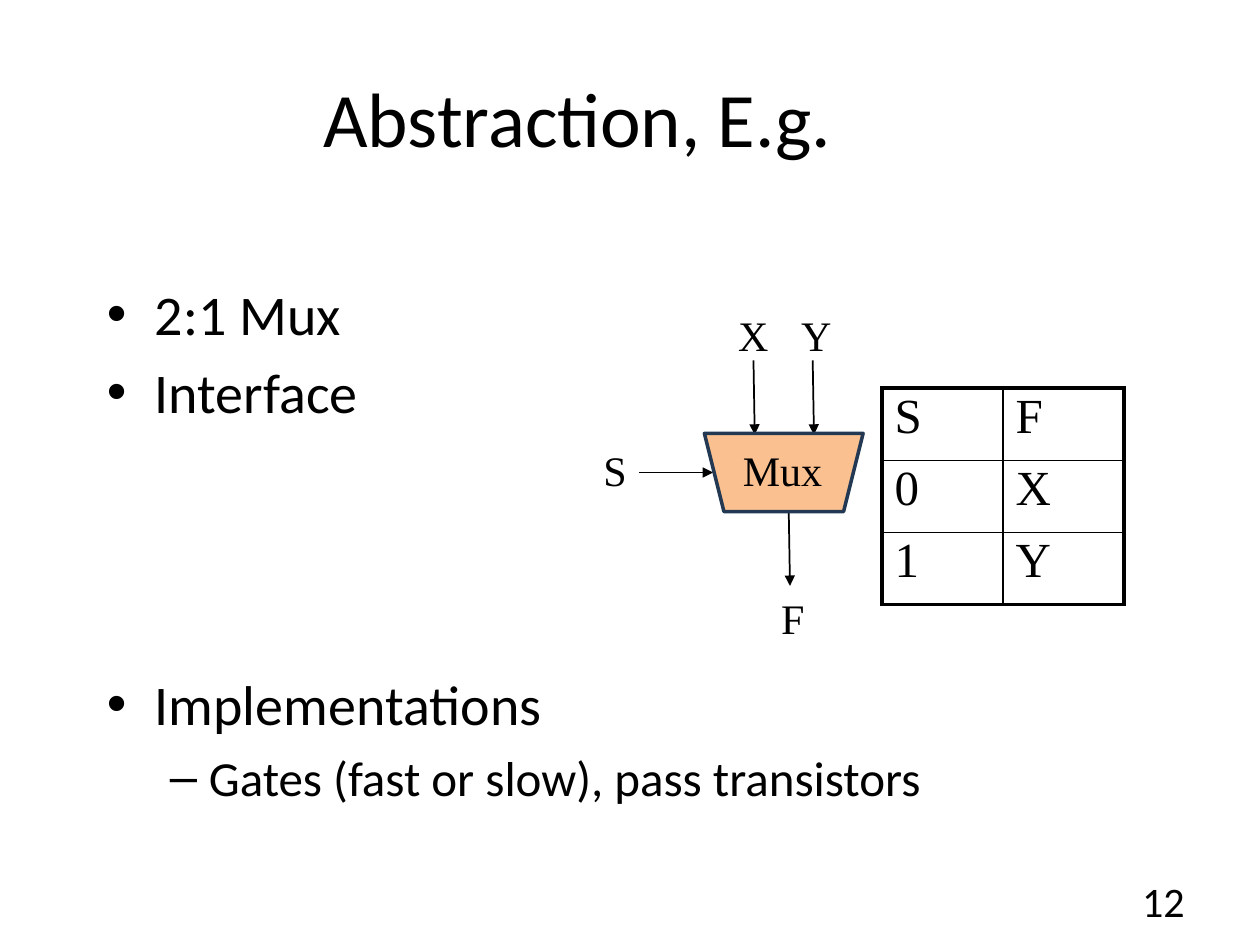
from pptx import Presentation
from pptx.dml.color import RGBColor
from pptx.enum.shapes import MSO_CONNECTOR as Conn, MSO_SHAPE as Shape
from pptx.enum.text import MSO_ANCHOR as Anchor, PP_ALIGN as Align
from pptx.oxml.ns import qn
from pptx.util import Inches, Pt
from lxml.etree import SubElement as Sub

BLACK = RGBColor(0x00, 0x00, 0x00)
PEACH = RGBColor(0xFA, 0xC0, 0x90)
NAVY = RGBColor(0x23, 0x39, 0x53)
SANS, SERIF = "Calibri", "Times New Roman"
COLS, ROWS = 100, 75  # grid of tenth-inch cells


def grid(*cells):
    return [Inches(n / 10) for n in cells]


def style(para, size, face):
    for run in para.runs:
        run.font.size = Pt(size)
        run.font.name = face
        run.font.color.rgb = BLACK


def add_text(slide, box, text, size, face, align=Align.LEFT,
             anchor=Anchor.TOP, wrap=True):
    frame = slide.shapes.add_textbox(*grid(*box)).text_frame
    frame.word_wrap = wrap
    frame.vertical_anchor = anchor
    para = frame.paragraphs[0]
    para.text = text
    para.alignment = align
    style(para, size, face)


def add_list(slide, box, items):
    frame = slide.shapes.add_textbox(*grid(*box)).text_frame
    frame.word_wrap = True
    for i, (text, mark, size, left, hang, gap) in enumerate(items):
        para = frame.add_paragraph() if i else frame.paragraphs[0]
        para.text = text
        props = para._p.get_or_add_pPr()
        props.set("marL", str(Inches(left)))
        props.set("indent", str(-Inches(hang)))
        para.space_before = Pt(gap)
        Sub(props, qn("a:buFont"), typeface="Arial")
        Sub(props, qn("a:buChar"), char=mark)
        style(para, size, SANS)


def add_arrow(slide, *ends):
    line = slide.shapes.add_connector(Conn.STRAIGHT, *grid(*ends))
    line.line.color.rgb = BLACK
    line.line.width = Pt(1)
    Sub(line.line._get_or_add_ln(), qn("a:tailEnd"), type="triangle")
    Sub(line._element.spPr, qn("a:effectLst"))


def add_mux(slide, box):
    mux = slide.shapes.add_shape(Shape.TRAPEZOID, *grid(*box))
    mux.rotation = 180
    mux.shadow.inherit = False
    mux.fill.solid()
    mux.fill.fore_color.rgb = PEACH
    mux.line.color.rgb = NAVY
    mux.line.width = Pt(2)


def set_edge(cell, side, width):
    edge = Sub(cell._tc.get_or_add_tcPr(), qn("a:ln" + side), w=str(Pt(width)))
    fill = Sub(edge, qn("a:solidFill"))
    Sub(fill, qn("a:srgbClr"), val=str(BLACK))


def add_truth(slide, box, data):
    last_row, last_col = len(data) - 1, len(data[0]) - 1
    table = slide.shapes.add_table(last_row + 1, last_col + 1, *grid(*box)).table
    for r, row in enumerate(data):
        for c, text in enumerate(row):
            cell = table.cell(r, c)
            # Heavy outer frame, thin inner rules
            outer = {"L": c == 0, "R": c == last_col,
                     "T": r == 0, "B": r == last_row}
            for side, heavy in outer.items():
                set_edge(cell, side, 2.25 if heavy else 1)
            cell.fill.background()
            para = cell.text_frame.paragraphs[0]
            para.text = text
            para.line_spacing = 0.9
            style(para, 28, SERIF)


def main():
    deck = Presentation()
    deck.slide_width, deck.slide_height = grid(COLS, ROWS)
    slide = deck.slides.add_slide(deck.slide_layouts[6])

    # Title, bullets and page number
    add_text(slide, (5, 3, 81.7, 12.5), "Abstraction, E.g.", 44, SANS,
             Align.CENTER, Anchor.MIDDLE)
    add_list(slide, (7.5, 21.7, 85, 40.8), [
        ("2:1 Mux", "•", 32, 0.38, 0.38, 0),
        ("Interface", "•", 32, 0.38, 0.38, 6),
        # Wide gap leaves room for the diagram
        ("Implementations", "•", 32, 0.38, 0.38, 140),
        ("Gates (fast or slow), pass transistors", "–", 28, 0.81, 0.31, 6),
    ])
    add_text(slide, (83.3, 69.5, 11.7, 4), "12", 24, SANS,
             Align.RIGHT, Anchor.MIDDLE)

    # Truth table
    add_truth(slide, (70, 30.8, 19.2, 17.2), ["SF", "0X", "1Y"])

    # Mux with its inputs and output
    add_arrow(slide, 50.7, 37.5, 56.6, 37.5)
    for x, y in ((59.8, 28.6), (64.5, 28.6), (62.6, 40.6)):
        add_arrow(slide, x, y, x + 0.1, y + 5.9)
    add_mux(slide, (55.9, 34.4, 12.6, 6.2))
    add_text(slide, (57.2, 34.8, 9.8, 5), "Mux", 24, SERIF, Align.CENTER)
    for name, x, y, wide in (("S", 46.9, 34.8, 3.9), ("X", 57.6, 24.1, 4.4),
                             ("Y", 62.6, 24.1, 4.4), ("F", 61, 46.5, 3.9)):
        add_text(slide, (x, y, wide, 5), name, 24, SERIF, wrap=False)

    deck.save("out.pptx")


if __name__ == "__main__":
    main()
